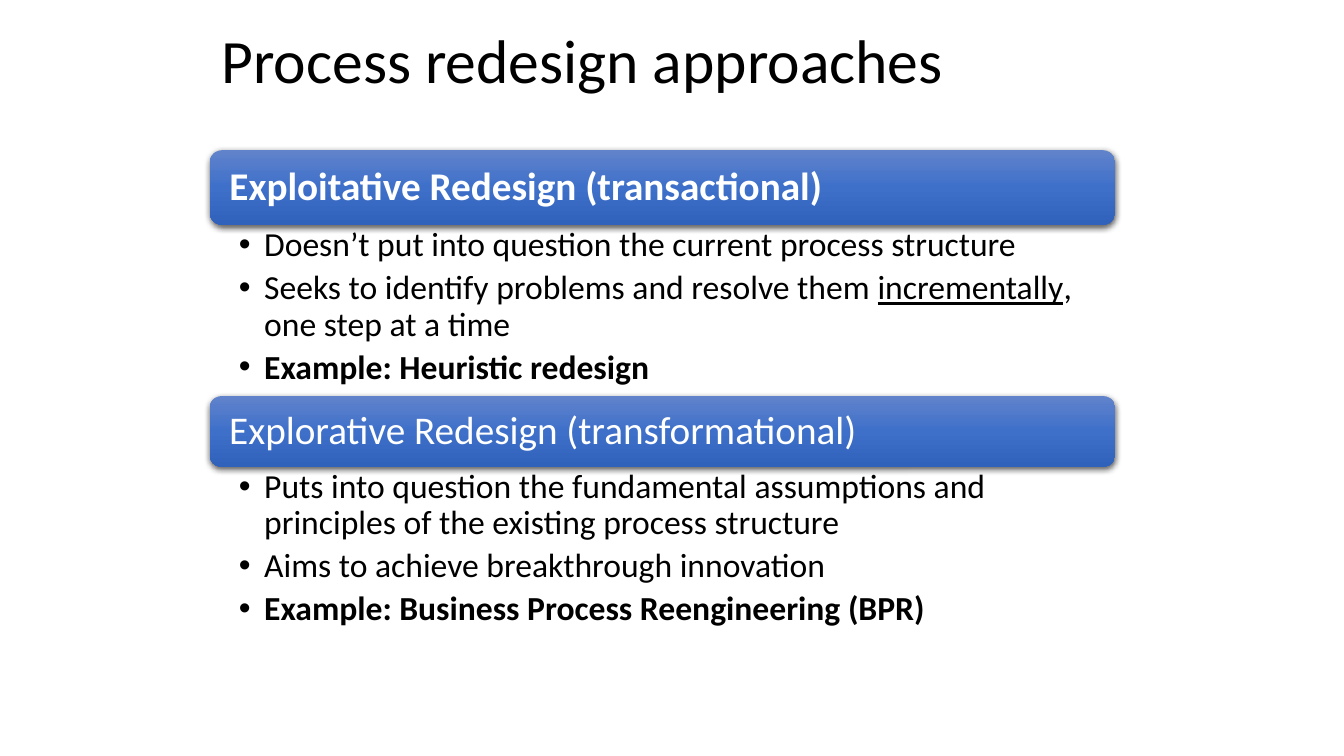
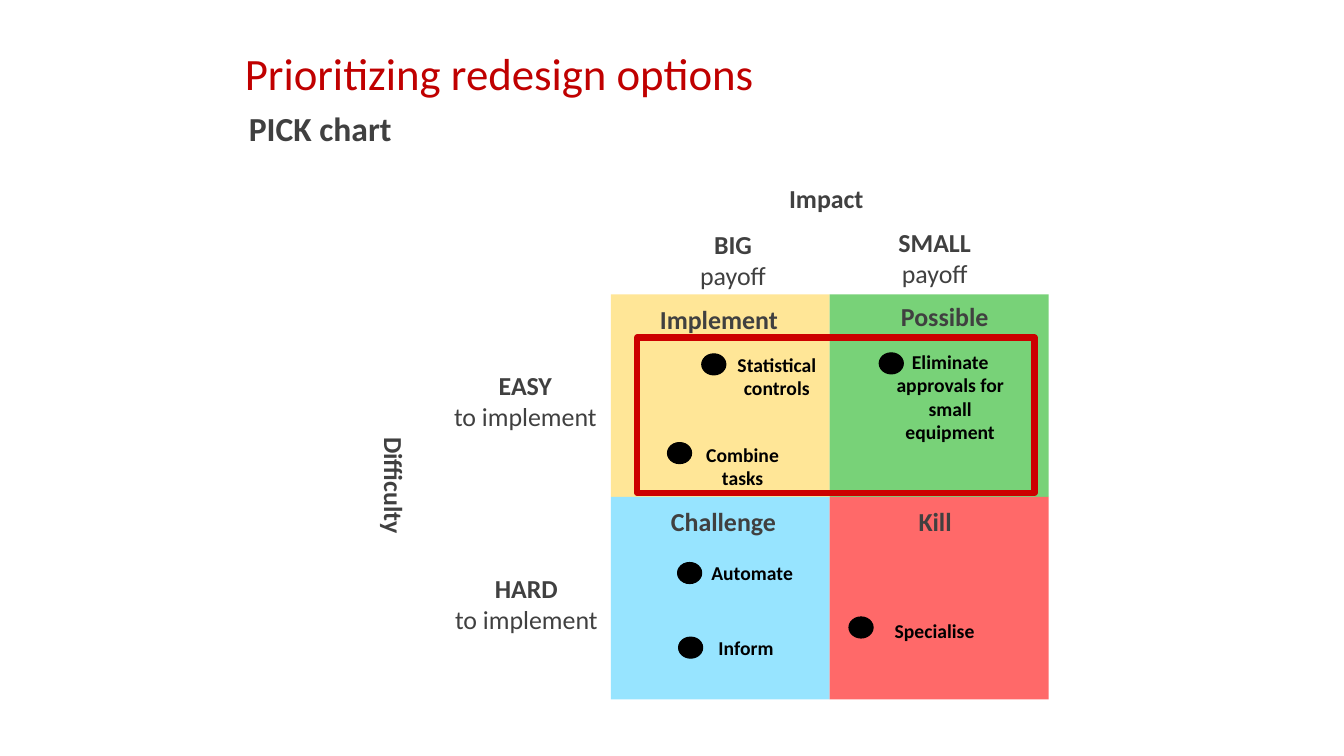
"""Build two slides on process redesign: the approaches and a PICK chart."""
import copy

import pptx
import pptx.dml.color
import pptx.enum.shapes
import pptx.enum.text
import pptx.oxml.ns
import pptx.util
from lxml import etree
from pptx.util import Inches, Pt

SHAPE = pptx.enum.shapes.MSO_SHAPE
ALIGN = pptx.enum.text.PP_ALIGN
ANCHOR = pptx.enum.text.MSO_ANCHOR
FIT = pptx.enum.text.MSO_AUTO_SIZE
qn = pptx.oxml.ns.qn

FONT = "Calibri"
COLORS = {
    "black": "000000", "white": "FFFFFF", "grey": "404040", "title": "C00000",
    "frame": "CC0000", "yellow": "FFE697", "green": "78D278",
    "blue": "97E4FF", "red": "FF6969",
    "bar_top": "6183CB", "bar_mid": "3E70CA", "bar_low": "3062BB",
}
BAR_STOPS = [(0, "bar_top"), (0.5, "bar_mid"), (1, "bar_low")]

STYLES = {
    "heading": {"size": 44, "color": "black", "anchor": ANCHOR.MIDDLE, "spacing": 0.9},
    "red_title": {"size": 32, "color": "title"},
    "subtitle": {"size": 24, "color": "grey", "anchor": ANCHOR.MIDDLE, "spacing": 0.9},
    "bar": {"size": 28, "color": "white", "anchor": ANCHOR.MIDDLE, "spacing": 0.9,
            "insets": (0.16, 0.12, 0.16, 0.12)},
    "bullets": {"size": 24, "color": "black", "spacing": 0.9, "after": 4.8,
                "bullet": True, "insets": (0.29, 0.03, 0.19, 0.03)},
    "label": {"size": 18.5, "color": "grey", "align": ALIGN.CENTER, "wrap": False},
    "item": {"size": 14, "color": "black", "align": ALIGN.CENTER},
}
BOLD = {"bold": True}
UNDERLINE = {"underline": True}

APPROACHES = [
    {"bar": [("Exploitative Redesign (transactional)", BOLD)],
     "top": 1.49, "bar_height": 0.74,
     "bullets": [
         [("Doesn’t put into question the current process structure", {})],
         [("Seeks to identify problems and resolve them ", {}),
          ("incrementally", UNDERLINE), (", one step at a time", {})],
         [("Example: Heuristic redesign", BOLD)]]},
    {"bar": [("Explorative Redesign (transformational)", {})],
     "top": 3.93, "bar_height": 0.7,
     "bullets": [
         [("Puts into question the fundamental assumptions and principles "
           "of the existing process structure", {})],
         [("Aims to achieve breakthrough innovation", {})],
         [("Example: Business Process Reengineering (BPR)", BOLD)]]},
]
LIST_LEFT, LIST_WIDTH, BULLETS_HEIGHT = 2.08, 8.98, 1.7

GRID_LEFT, GRID_TOP, CELL_W, CELL_H = 6.06, 2.92, 2.17, 2.01
QUADRANTS = [["yellow", "green"], ["blue", "red"]]
NAMES = [
    ("Implement", (6.44, 2.96, 1.38, 0.41), 0),
    ("Possible", (8.83, 2.93, 1.08, 0.41), 0),
    ("Challenge", (6.55, 4.97, 1.25, 0.41), 0),
    ("Kill", (9.01, 4.97, 0.53, 0.41), 0),
    ("Impact", (7.72, 1.76, 0.95, 0.41), 0),
    ("Difficulty", (3.32, 4.61, 1.18, 0.41), 90),
]
AXIS_LABELS = [
    ("EASY", "to implement", (4.37, 3.62, 1.68, 0.72)),
    ("HARD", "to implement", (4.38, 5.63, 1.68, 0.72)),
    ("BIG", "payoff", (6.84, 2.22, 0.86, 0.72)),
    ("SMALL", "payoff", (8.81, 2.2, 0.92, 0.72)),
]
DOT_SIZE = (0.24, 0.21)
OPTIONS = [
    ("Statistical controls", (6.96, 3.51), (6.99, 3.45, 1.43, 0.57)),
    ("Combine tasks", (6.62, 4.39), (6.77, 4.34, 1.19, 0.57)),
    ("Eliminate approvals for small equipment", (8.72, 3.5), (8.66, 3.42, 1.53, 1.04)),
    ("Automate", (6.72, 5.58), (6.77, 5.52, 1.38, 0.34)),
    ("Inform", (6.73, 6.32), (6.72, 6.26, 1.36, 0.34)),
    ("Specialise", (8.42, 6.12), (8.6, 6.09, 1.34, 0.34)),
]
FRAME_BOX = (6.32, 3.35, 3.94, 1.54)


def rgb(name):
    return pptx.dml.color.RGBColor.from_string(COLORS[name])


def add_bullet(p):
    pPr = p._p.get_or_add_pPr()
    pPr.set("marL", str(Inches(0.25)))
    pPr.set("indent", str(Inches(-0.25)))
    font = etree.SubElement(pPr, qn("a:buFont"))
    font.set("typeface", "Arial")
    etree.SubElement(pPr, qn("a:buChar")).set("char", "•")


def write(sp, paragraphs, style):
    tf = sp.text_frame
    sides = ("margin_left", "margin_top", "margin_right", "margin_bottom")
    for side, inset in zip(sides, style.get("insets", (0.1, 0.05, 0.1, 0.05))):
        setattr(tf, side, Inches(inset))
    tf.word_wrap = style.get("wrap", True)
    tf.vertical_anchor = style.get("anchor", ANCHOR.TOP)
    if not tf.word_wrap:
        tf.auto_size = FIT.SHAPE_TO_FIT_TEXT
    for i, runs in enumerate(paragraphs):
        p = tf.add_paragraph() if i else tf.paragraphs[0]
        layout = {"alignment": style.get("align", ALIGN.LEFT),
                  "line_spacing": style.get("spacing", 1.0),
                  "space_after": Pt(style.get("after", 0))}
        for name, value in layout.items():
            setattr(p, name, value)
        if style.get("bullet"):
            add_bullet(p)
        for text, extra in runs:
            r = p.add_run()
            r.text = text.rstrip("\n")
            look = {"name": FONT, "size": Pt(style["size"]), "bold": False, **extra}
            for name, value in look.items():
                setattr(r.font, name, value)
            r.font.color.rgb = rgb(style["color"])
            if text.endswith("\n"):
                p.add_line_break()


def add_text(s, box, paragraphs, style, rotation=0):
    sp = s.shapes.add_textbox(*map(Inches, box))
    sp.rotation = rotation
    write(sp, paragraphs, STYLES[style])


def add_shape(s, kind, box, fill=None, line=None, width=0.75):
    sp = s.shapes.add_shape(kind, *map(Inches, box))
    sp.shadow.inherit = False
    if fill:
        sp.fill.solid()
        sp.fill.fore_color.rgb = rgb(fill)
    else:
        sp.fill.background()
    if line:
        sp.line.color.rgb = rgb(line)
        sp.line.width = Pt(width)
    else:
        sp.line.fill.background()
    return sp


def add_bar(s, box, runs):
    sp = add_shape(s, SHAPE.ROUNDED_RECTANGLE, box)
    sp.fill.gradient()
    sp.fill.gradient_angle = 270
    spPr = sp._element.spPr
    stops = spPr.find(qn("a:gradFill")).find(qn("a:gsLst"))
    stops.insert(1, copy.deepcopy(stops[0]))
    for stop, (position, color) in zip(sp.fill.gradient_stops, BAR_STOPS):
        stop.position = position
        stop.color.rgb = rgb(color)
    shadow = etree.SubElement(spPr.find(qn("a:effectLst")), qn("a:outerShdw"))
    values = {"blurRad": Pt(4.5), "dist": Pt(1.5), "dir": 5400000, "rotWithShape": 0}
    for name, value in values.items():
        shadow.set(name, str(value))
    color = etree.SubElement(shadow, qn("a:srgbClr"))
    color.set("val", COLORS["black"])
    etree.SubElement(color, qn("a:alpha")).set("val", "63000")
    write(sp, [runs], STYLES["bar"])


def build_approaches(s):
    add_text(s, (2.1, 0.2, 8.82, 0.87), [[("Process redesign approaches", {})]], "heading")
    for approach in APPROACHES:
        top, height = approach["top"], approach["bar_height"]
        add_bar(s, (LIST_LEFT, top, LIST_WIDTH, height), approach["bar"])
        add_text(s, (LIST_LEFT, top + height, LIST_WIDTH, BULLETS_HEIGHT),
                 approach["bullets"], "bullets")


def build_pick_chart(s):
    add_text(s, (2.33, 0.4, 7.33, 0.67), [[("Prioritizing redesign options", {})]], "red_title")
    add_text(s, (2.37, 0.96, 5.03, 0.67), [[("PICK chart", BOLD)]], "subtitle")
    for row, colors in enumerate(QUADRANTS):
        for col, color in enumerate(colors):
            box = (GRID_LEFT + col * CELL_W, GRID_TOP + row * CELL_H, CELL_W, CELL_H)
            add_shape(s, SHAPE.RECTANGLE, box, color)
    for text, box, rotation in NAMES:
        add_text(s, box, [[(text, BOLD)]], "label", rotation)
    for level, noun, box in AXIS_LABELS:
        add_text(s, box, [[(level + "\n", BOLD), (noun, {})]], "label")
    for text, dot, box in OPTIONS:
        add_shape(s, SHAPE.OVAL, dot + DOT_SIZE, "black", "black")
        add_text(s, box, [[(text, BOLD)]], "item")
    frame = add_shape(s, SHAPE.ROUNDED_RECTANGLE, FRAME_BOX, line="frame", width=4.5)
    frame.adjustments[0] = 0


def main():
    prs = pptx.Presentation()
    prs.slide_width, prs.slide_height = Inches(13.33), Inches(7.5)
    for build in (build_approaches, build_pick_chart):
        build(prs.slides.add_slide(prs.slide_layouts[6]))
    prs.save("out.pptx")


if __name__ == "__main__":
    main()
